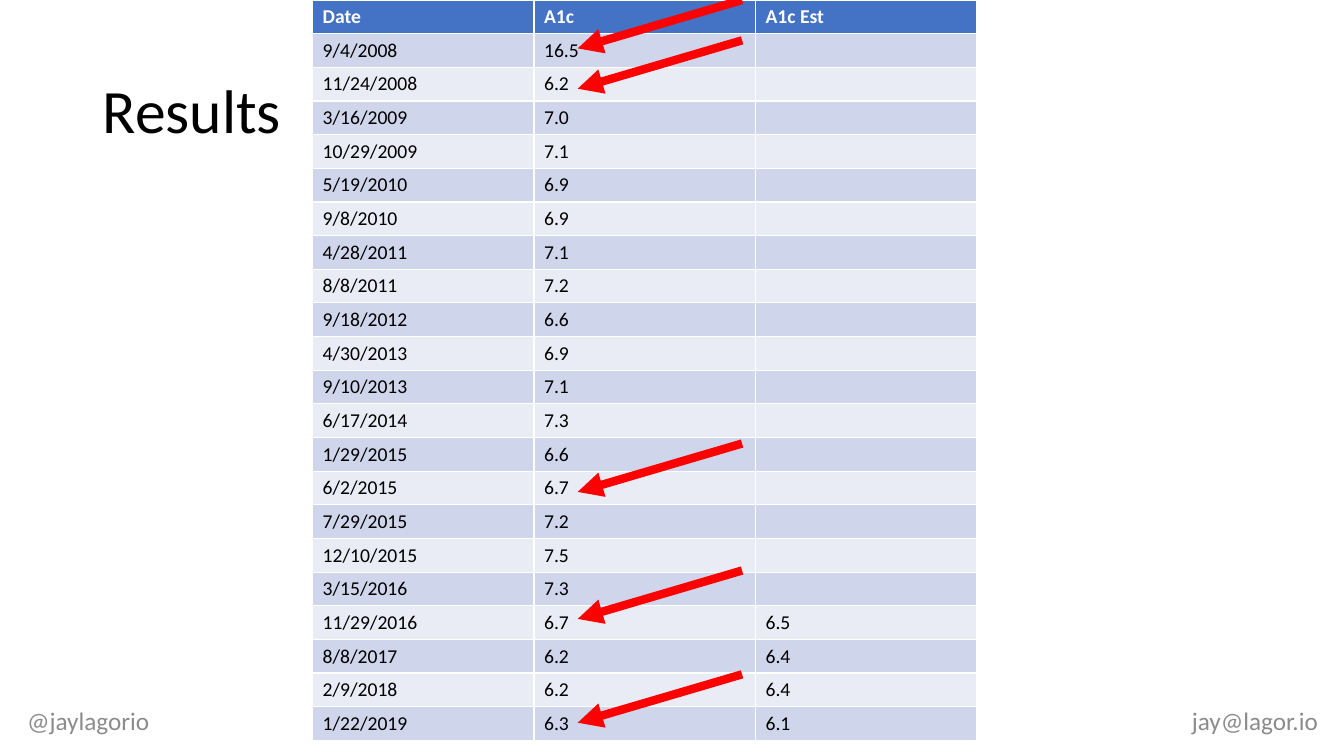
import pptx
import pptx.dml.color
import pptx.enum.shapes
import pptx.enum.text
import pptx.oxml
import pptx.oxml.ns
import pptx.util
from pptx.util import Inches

FONT = "Calibri"
COLORS = {
    "title": "000000",
    "handle": "8C8C8C",
    "header": "4472C4",
    "header_text": "FFFFFF",
    "body_text": "000000",
    "odd_row": "CFD5EA",
    "even_row": "E9EBF5",
    "arrow": "FF0000",
}

HEADINGS = ("Date", "A1c", "A1c Est")
READINGS = [
    ("9/4/2008", "16.5", ""),
    ("11/24/2008", "6.2", ""),
    ("3/16/2009", "7.0", ""),
    ("10/29/2009", "7.1", ""),
    ("5/19/2010", "6.9", ""),
    ("9/8/2010", "6.9", ""),
    ("4/28/2011", "7.1", ""),
    ("8/8/2011", "7.2", ""),
    ("9/18/2012", "6.6", ""),
    ("4/30/2013", "6.9", ""),
    ("9/10/2013", "7.1", ""),
    ("6/17/2014", "7.3", ""),
    ("1/29/2015", "6.6", ""),
    ("6/2/2015", "6.7", ""),
    ("7/29/2015", "7.2", ""),
    ("12/10/2015", "7.5", ""),
    ("3/15/2016", "7.3", ""),
    ("11/29/2016", "6.7", "6.5"),
    ("8/8/2017", "6.2", "6.4"),
    ("2/9/2018", "6.2", "6.4"),
    ("1/22/2019", "6.3", "6.1"),
]
ARROW_TOPS = (0.4, 0, 5.66, 6.69, 4.4)


def rgb(name):
    return pptx.dml.color.RGBColor.from_string(COLORS[name])


def set_font(paragraph, size, color, bold=False):
    font = paragraph.font
    font.name = FONT
    font.size = pptx.util.Pt(size)
    font.bold = bold
    font.color.rgb = rgb(color)


def add_label(slide, text, left, top, width, height, size, color,
              align=pptx.enum.text.PP_ALIGN.LEFT, line_spacing=None):
    frame = slide.shapes.add_textbox(
        Inches(left), Inches(top), Inches(width), Inches(height)).text_frame
    frame.word_wrap = True
    frame.vertical_anchor = pptx.enum.text.MSO_ANCHOR.MIDDLE
    paragraph = frame.paragraphs[0]
    paragraph.text = text
    paragraph.alignment = align
    paragraph.line_spacing = line_spacing
    set_font(paragraph, size, color)


def fill_cell(cell, text, fill, color, bold):
    cell.fill.solid()
    cell.fill.fore_color.rgb = rgb(fill)
    paragraph = cell.text_frame.paragraphs[0]
    paragraph.text = text
    set_font(paragraph, 14, color, bold)
    if not text:
        # An empty cell keeps the same line height as its row
        end = pptx.oxml.parse_xml(
            f'<a:endParaRPr {pptx.oxml.ns.nsdecls("a")} sz="1400"/>')
        paragraph._p.append(end)


def add_readings_table(slide):
    rows = [HEADINGS] + READINGS
    table = slide.shapes.add_table(
        len(rows), len(HEADINGS),
        Inches(3.1), Inches(0), Inches(6.59), Inches(7.33)).table
    for r, row in enumerate(rows):
        if r == 0:
            style = ("header", "header_text", True)
        else:
            style = ("odd_row" if r % 2 else "even_row", "body_text", False)
        for c, text in enumerate(row):
            fill_cell(table.cell(r, c), text, *style)


def add_arrow(slide, top):
    arrow = slide.shapes.add_connector(
        pptx.enum.shapes.MSO_CONNECTOR.STRAIGHT,
        Inches(7.36), Inches(top), Inches(5.73), Inches(top + 0.48))
    arrow.line.color.rgb = rgb("arrow")
    arrow.line.width = pptx.util.Pt(6)
    namespace = pptx.oxml.ns.nsdecls("a")
    arrow.line._get_or_add_ln().append(
        pptx.oxml.parse_xml(f'<a:tailEnd {namespace} type="triangle"/>'))
    arrow._element.spPr.append(
        pptx.oxml.parse_xml(f'<a:effectLst {namespace}/>'))


def main():
    deck = pptx.Presentation()
    deck.slide_width = Inches(13.33)
    deck.slide_height = Inches(7.5)
    slide = deck.slides.add_slide(deck.slide_layouts[6])

    # Contact details in the bottom corners
    add_label(slide, "@jaylagorio", 0.17, 6.95, 3, 0.4, 18, "handle")
    add_label(slide, "jay@lagor.io", 10.17, 6.95, 3, 0.4, 18, "handle",
              align=pptx.enum.text.PP_ALIGN.RIGHT)

    # Title
    add_label(slide, "Results", 0.92, 0.4, 11.5, 1.45, 44, "title",
              line_spacing=0.9)

    # Readings, with arrows at the notable ones
    add_readings_table(slide)
    for top in ARROW_TOPS:
        add_arrow(slide, top)

    deck.save("out.pptx")


if __name__ == "__main__":
    main()
